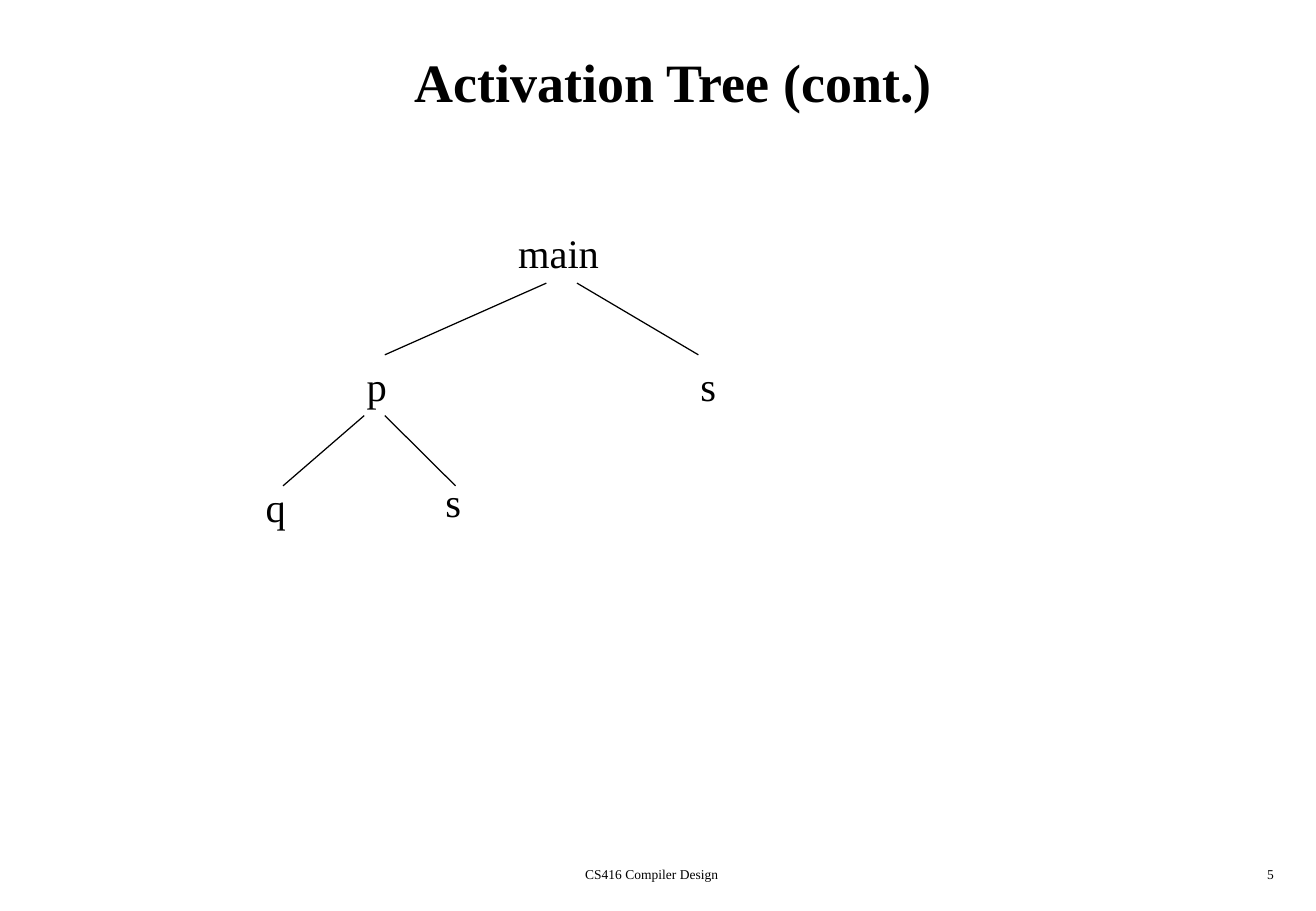
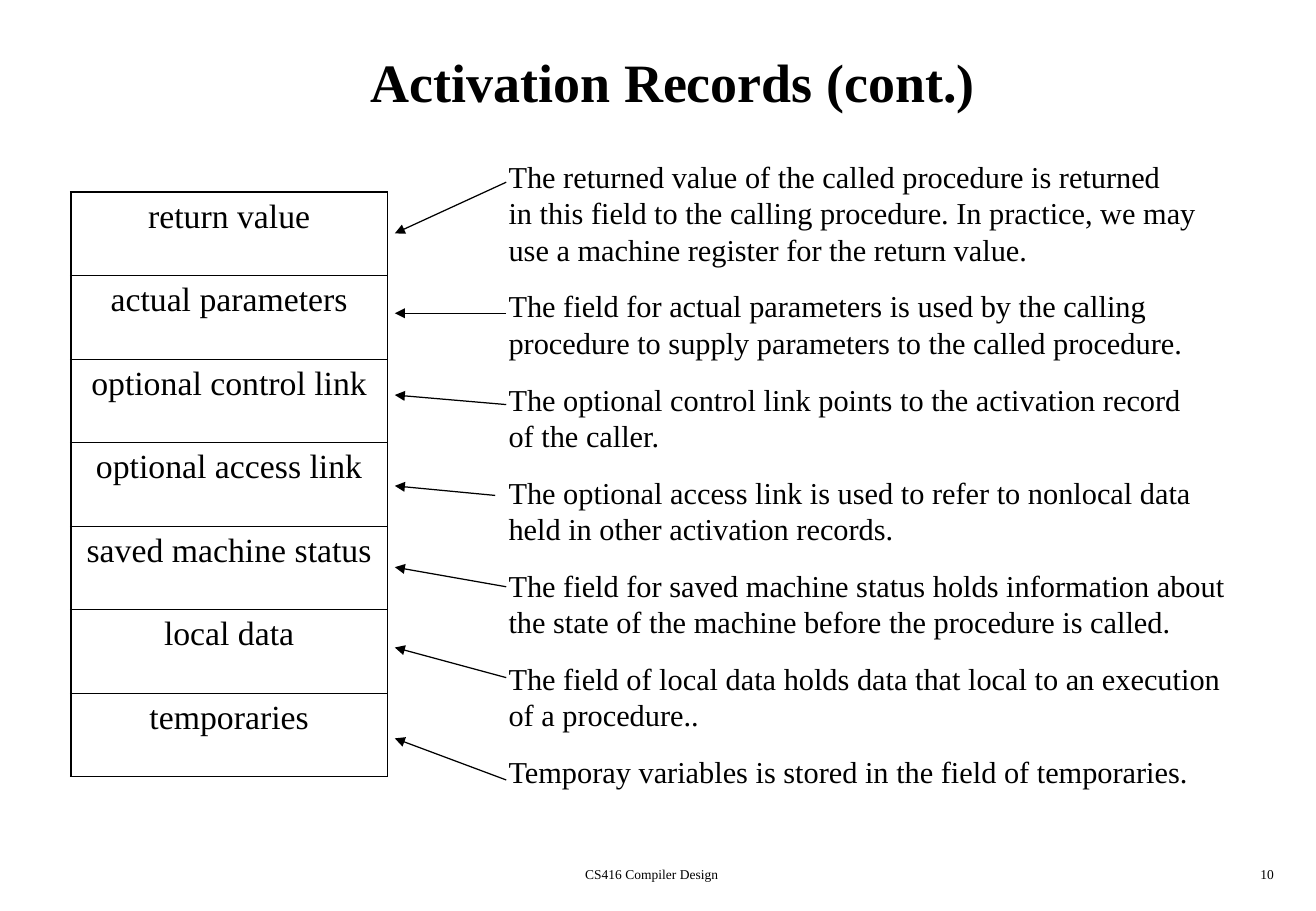
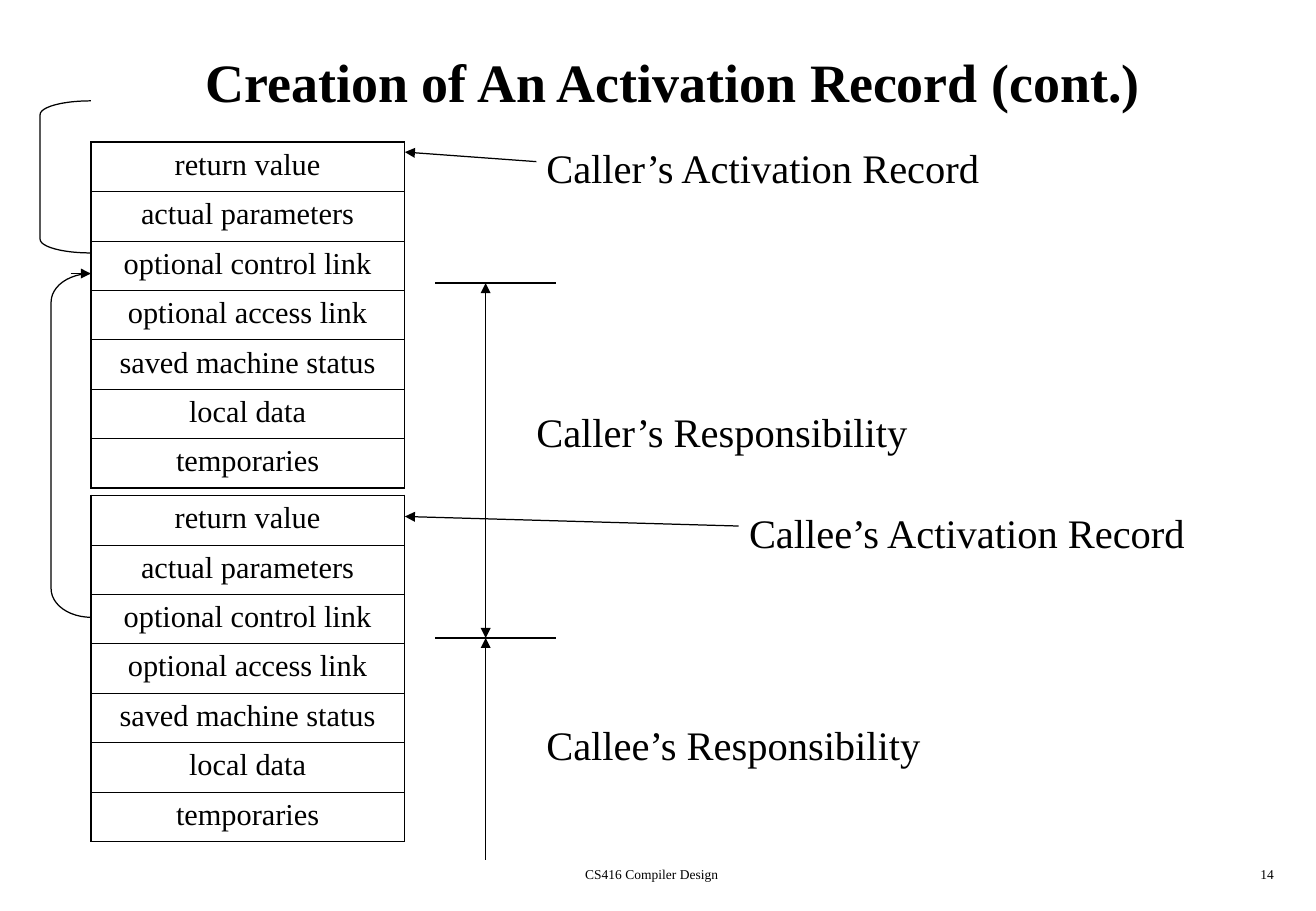
from lxml.etree import SubElement
from pptx import Presentation
from pptx.dml.color import RGBColor
from pptx.enum.shapes import MSO_CONNECTOR as Connector, MSO_SHAPE as Shape
from pptx.enum.text import MSO_ANCHOR as Anchor, PP_ALIGN as Align
from pptx.oxml.ns import qn
from pptx.util import Cm, Pt

BLACK = RGBColor(0x00, 0x00, 0x00)
WHITE = RGBColor(0xFF, 0xFF, 0xFF)
FONT = "Times New Roman"
LINE_WIDTH = Pt(0.75)
THICK, THIN = Pt(1.08), Pt(0.45)

FIELDS = (
    "return value",
    "actual parameters",
    "optional control link",
    "optional access link",
    "saved machine status",
    "local data",
    "temporaries",
)
OPEN_FIELD = "optional access link"

FIELD_NOTES = (
    "The returned value of the called procedure is returned\n"
    "in this field to the calling procedure. In practice, we may\n"
    "use a machine register for the return value.",
    "The field for actual parameters is used by the calling\n"
    "procedure to supply parameters to the called procedure.",
    "The optional control link points to the activation record\n"
    "of the caller.",
    "The optional access link is used to refer to nonlocal data\n"
    "held in other activation records.",
    "The field for saved machine status holds information about\n"
    "the state of the machine before the procedure is called.",
    "The field of local data holds data that local to an execution\n"
    "of a procedure..",
    "Temporay variables is stored in the field of temporaries.",
)


class Lecture:
    def __init__(self):
        self.deck = Presentation()
        self.deck.slide_width = Cm(27.53)
        self.deck.slide_height = Cm(19.05)
        self.page = None

    def start_page(self, title, number):
        self.page = self.deck.slides.add_slide(self.deck.slide_layouts[6])
        self.page.background.fill.solid()
        self.page.background.fill.fore_color.rgb = WHITE
        self.text([title], 1.07, 0.43, 26.03, 2.54, 32, Align.CENTER,
                  bold=True, anchor=Anchor.MIDDLE)
        self.text(["CS416 Compiler Design"], 8.48, 17.98, 10.31, 0.64, 8,
                  Align.CENTER)
        self.text([str(number)], 21.16, 17.98, 5.74, 0.64, 8, Align.RIGHT)

    def style(self, paragraph, size, align, bold=False):
        paragraph.alignment = align
        font = paragraph.font
        font.name = FONT
        font.size = Pt(size)
        font.bold = bold
        font.color.rgb = BLACK

    def text(self, paragraphs, left, top, width, height, size=24,
             align=Align.LEFT, bold=False, anchor=Anchor.TOP, gap=0):
        box = self.page.shapes.add_textbox(Cm(left), Cm(top), Cm(width), Cm(height))
        frame = box.text_frame
        frame.word_wrap = True
        frame.vertical_anchor = anchor
        for index, words in enumerate(paragraphs):
            paragraph = frame.add_paragraph() if index else frame.paragraphs[0]
            paragraph.text = words.replace("\n", "\v")
            paragraph.line_spacing = Pt(size * 1.2)
            if index and gap:
                paragraph.space_before = Pt(gap)
            self.style(paragraph, size, align, bold)

    def line(self, start, end, head=False, tail=False):
        connector = self.page.shapes.add_connector(
            Connector.STRAIGHT, *(Cm(value) for value in (*start, *end)))
        connector.line.color.rgb = BLACK
        connector.line.width = LINE_WIDTH
        properties = connector._element.spPr
        outline = properties.find(qn("a:ln"))
        for tag, wanted in (("a:headEnd", head), ("a:tailEnd", tail)):
            if wanted:
                SubElement(outline, qn(tag), type="triangle")
        SubElement(properties, qn("a:effectLst"))

    def bracket(self, left, top, width, height, curve):
        bracket = self.page.shapes.add_shape(
            Shape.LEFT_BRACKET, Cm(left), Cm(top), Cm(width), Cm(height))
        bracket.adjustments[0] = curve
        bracket.shadow.inherit = False
        bracket.fill.background()
        bracket.line.color.rgb = BLACK
        bracket.line.width = LINE_WIDTH

    def borders(self, cell, widths):
        properties = cell._tc.get_or_add_tcPr()
        for index, (side, width) in enumerate(zip("LRTB", widths)):
            border = SubElement(properties, qn(f"a:ln{side}"), w=str(width))
            fill = SubElement(border, qn("a:solidFill"))
            SubElement(fill, qn("a:srgbClr"), val=str(BLACK))
            properties.insert(index, border)

    def record(self, left, top, width, height, size):
        count = len(FIELDS)
        table = self.page.shapes.add_table(
            count, 1, Cm(left), Cm(top), Cm(width), Cm(height)).table
        table.first_row = False
        table.horz_banding = False
        for index, field in enumerate(FIELDS):
            table.rows[index].height = Cm(height / count)
            cell = table.cell(index, 0)
            cell.text = field
            cell.fill.background()
            self.style(cell.text_frame.paragraphs[0], size, Align.CENTER)
            self.borders(cell, (
                THICK,
                THIN if field == OPEN_FIELD else THICK,
                THICK if index == 0 else THIN,
                THICK if index == count - 1 else THIN,
            ))


def activation_tree(lecture):
    lecture.start_page("Activation Tree (cont.)", 5)
    for start, end in (
        ((11.43, 5.92), (8.05, 7.42)),
        ((12.07, 5.92), (14.61, 7.42)),
        ((7.62, 8.69), (5.92, 10.16)),
        ((8.05, 8.69), (9.53, 10.16)),
    ):
        lecture.line(start, end)
    for name, left, top, width in (
        ("main", 10.59, 4.65, 2.4),
        ("p", 7.42, 7.42, 1),
        ("s", 14.4, 7.42, 1),
        ("q", 5.31, 9.96, 1),
        ("s", 9.07, 9.86, 1),
    ):
        lecture.text([name], left, top, width, 1.27)


def activation_records(lecture):
    lecture.start_page("Activation Records (cont.)", 10)
    lecture.record(1.48, 4.02, 6.63, 12.22, 20)
    lecture.text(FIELD_NOTES, 10.39, 3.18, 15.9, 13.46, 18, gap=12)
    for note_x, note_y, field_y in (
        (10.59, 3.81, 4.88),
        (10.59, 6.55, 6.55),
        (10.59, 8.46, 8.26),
        (10.36, 10.36, 10.16),
        (10.59, 12.27, 11.86),
        (10.59, 14.17, 13.54),
        (10.59, 16.31, 15.44),
    ):
        lecture.line((note_x, note_y), (8.26, field_y), tail=True)


def record_creation(lecture):
    lecture.start_page("Creation of An Activation Record (cont.)", 14)
    for top in (2.97, 10.36):
        lecture.record(1.9, top, 6.56, 7.24, 18)
    lecture.bracket(1.07, 5.72, 0.84, 7.19, 0.71)
    lecture.bracket(0.84, 2.11, 1.06, 3.18, 0.27)
    lecture.line((1.48, 5.72), (1.9, 5.72), tail=True)

    axis, caller_top, boundary = 10.16, 5.92, 13.34
    lecture.line((axis, caller_top), (axis, boundary), head=True, tail=True)
    lecture.line((axis, 17.98), (axis, boundary), tail=True)
    for level in (caller_top, boundary):
        lecture.line((9.1, level), (11.64, level))

    for label, left, top, width in (
        ("Caller’s Responsibility", 10.97, 8.38, 8.5),
        ("Callee’s Responsibility", 11.18, 14.94, 8.6),
        ("Caller’s Activation Record", 11.18, 2.87, 9.8),
        ("Callee’s Activation Record", 15.42, 10.49, 9.9),
    ):
        lecture.text([label], left, top, width, 1.27)
    lecture.line((15.45, 11), (8.47, 10.8), tail=True)
    lecture.line((11.22, 3.38), (8.47, 3.18), tail=True)


def main():
    lecture = Lecture()
    activation_tree(lecture)
    activation_records(lecture)
    record_creation(lecture)
    lecture.deck.save("out.pptx")


if __name__ == "__main__":
    main()
